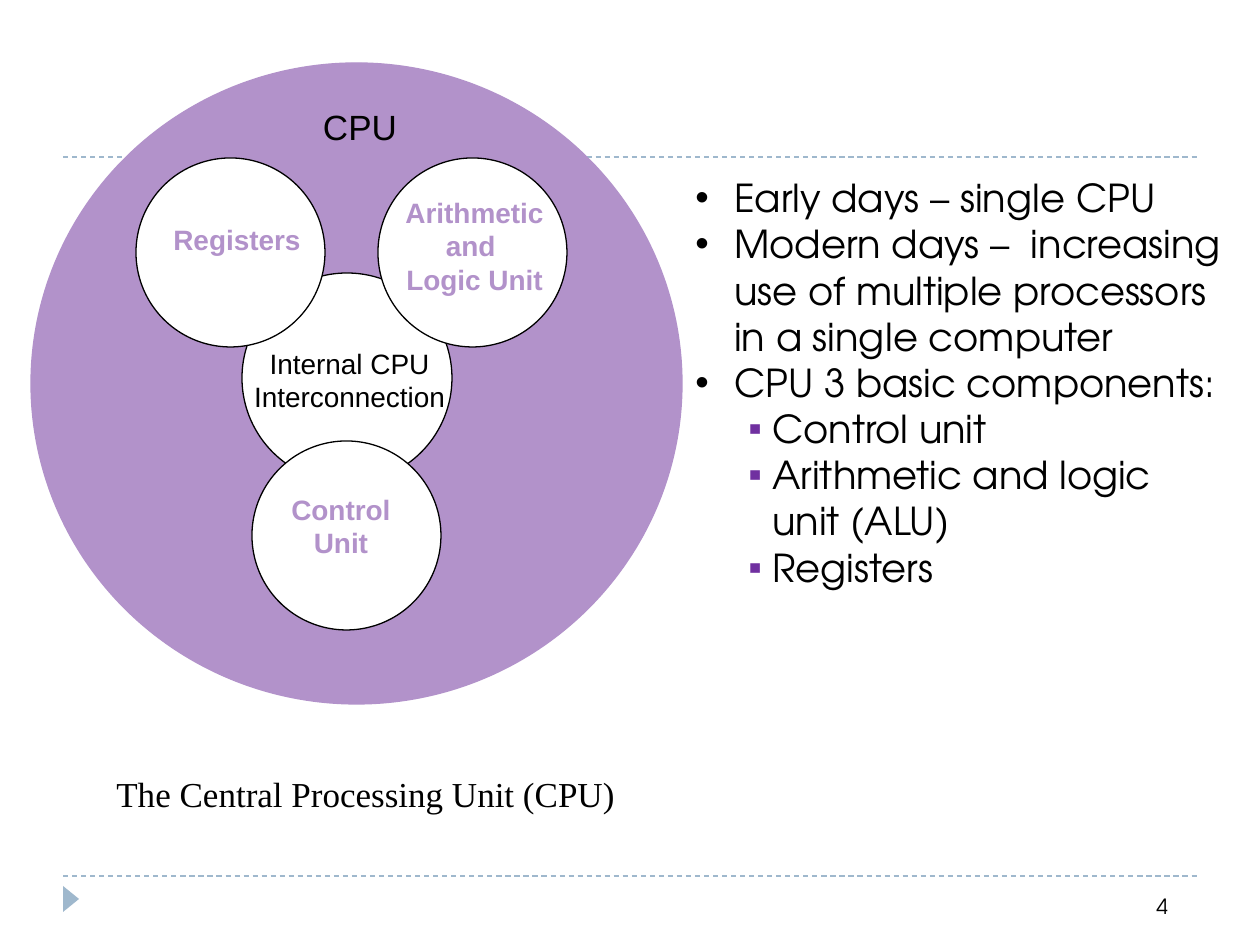
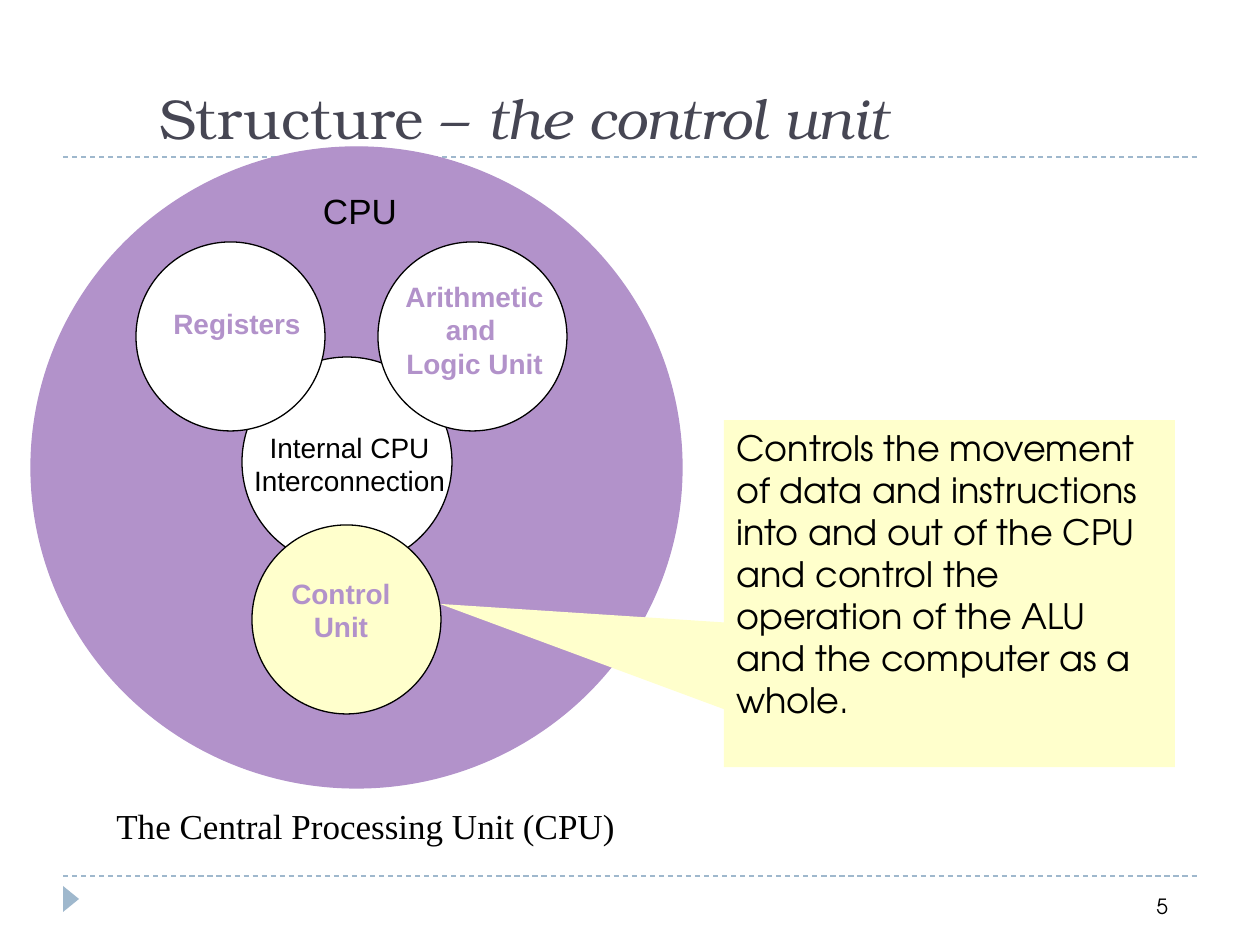
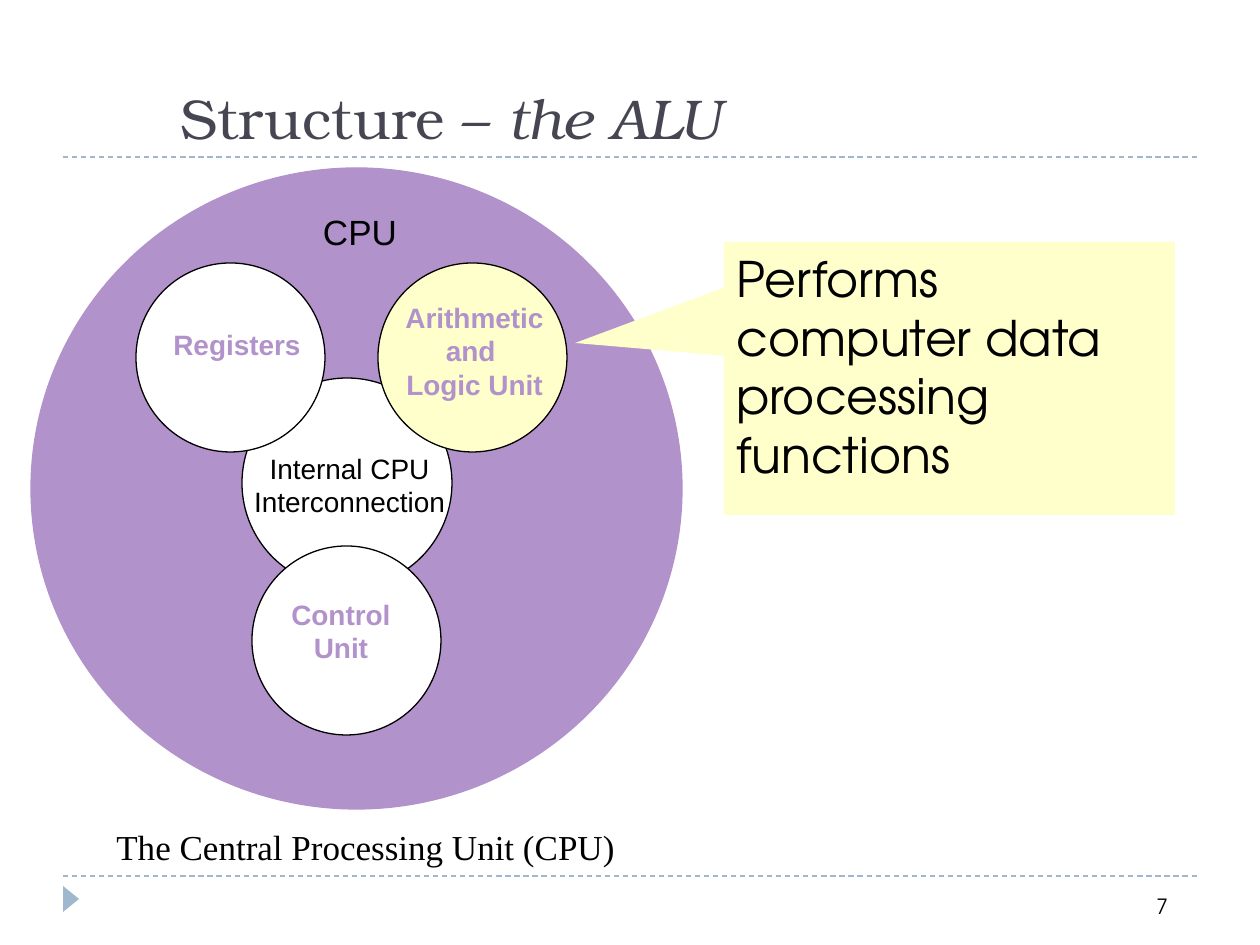
from lxml import etree
from pptx import Presentation
from pptx.dml.color import RGBColor
from pptx.enum.dml import MSO_LINE
from pptx.enum.shapes import MSO_CONNECTOR, MSO_SHAPE
from pptx.enum.text import MSO_ANCHOR, MSO_AUTO_SIZE, PP_ALIGN
from pptx.oxml.ns import qn
from pptx.util import Emu, Pt

PX_PER_INCH = 126
SLIDE_SIZE = (1260, 945)
TITLE_ONLY, BLANK = 5, 6

OVAL = MSO_SHAPE.OVAL
TRIANGLE = MSO_SHAPE.ISOSCELES_TRIANGLE
CALLOUT = MSO_SHAPE.RECTANGULAR_CALLOUT
STRAIGHT = MSO_CONNECTOR.STRAIGHT
DASH = MSO_LINE.DASH
LEFT, CENTER = PP_ALIGN.LEFT, PP_ALIGN.CENTER
TOP, MIDDLE, BOTTOM = MSO_ANCHOR.TOP, MSO_ANCHOR.MIDDLE, MSO_ANCHOR.BOTTOM
GROW, FIXED = MSO_AUTO_SIZE.SHAPE_TO_FIT_TEXT, MSO_AUTO_SIZE.NONE

BLACK, WHITE = "000000", "FFFFFF"
PURPLE, BULLET_PURPLE = "B292CA", "7030A0"
HIGHLIGHT, BAND, TITLE_INK = "FFFFCC", "9FB8CD", "464653"
SANS, BODY = "Arial", "TeX Gyre Adventor"
TITLE_FONT, CAPTION_FONT = "TeX Gyre Bonum", "Times New Roman"

# Bullet levels: character, colour, left margin and hanging indent in px
BULLETS = [("•", BLACK, 39, 39), ("▪", BULLET_PURPLE, 77, 24)]

# CPU parts, back to front: left, top below the CPU circle's top, diameter
PARTS = {
    "interconnection": (242, 210, 210),
    "registers": (136, 95, 189),
    "alu": (378, 95, 189),
    "control": (252, 378, 189),
}
# Labels: lines, box below the CPU circle's top, format
PART_NAME = {"color": PURPLE, "bold": True}
LABELS = [
    (["Arithmetic", "and ", "Logic Unit"], (389, 126, 171, 113), PART_NAME),
    (["Control", "Unit"], (274, 423, 134, 81), PART_NAME),
    (["Internal CPU", "Interconnection"], (234, 277, 231, 81), {}),
    (["Registers"], (161, 153, 165, 47), {"align": LEFT, **PART_NAME}),
    (["CPU"], (306, 36, 108, 55), {"size": 20, "anchor": MIDDLE}),
]


def px(length):
    return Emu(round(length * 914400 / PX_PER_INCH))


def rgb(code):
    return RGBColor.from_string(code)


def format_run(run, font, size, color, bold=False, italic=False):
    run.font.name, run.font.size = font, Pt(size)
    run.font.bold, run.font.italic = bold, italic
    run.font.color.rgb = rgb(color)


def add_bullet(paragraph, level):
    char, color, margin, hanging = BULLETS[level]
    paragraph.level = level
    properties = paragraph._p.get_or_add_pPr()
    properties.set("marL", str(px(margin)))
    properties.set("indent", str(-px(hanging)))
    bullet_color = etree.SubElement(properties, qn("a:buClr"))
    etree.SubElement(bullet_color, qn("a:srgbClr"), val=color)
    etree.SubElement(properties, qn("a:buFont"), typeface=SANS)
    etree.SubElement(properties, qn("a:buChar"), char=char)


def write(frame, lines, font=BODY, size=20, color=BLACK, bold=False,
          align=LEFT, anchor=TOP, wrap=True, fit=FIXED, levels=None):
    """Fill a text frame, one paragraph a line; levels turns on bullets."""
    frame.word_wrap, frame.auto_size = wrap, fit
    frame.vertical_anchor = anchor
    for index, line in enumerate(lines):
        paragraph = frame.add_paragraph() if index else frame.paragraphs[0]
        if levels:
            add_bullet(paragraph, levels[index])
        paragraph.alignment = align
        run = paragraph.add_run()
        run.text = line
        format_run(run, font, size, color, bold)


class Deck:
    def __init__(self):
        self.presentation = Presentation()
        self.presentation.slide_width = px(SLIDE_SIZE[0])
        self.presentation.slide_height = px(SLIDE_SIZE[1])
        self.slide = None

    def start_slide(self, number, layout=TITLE_ONLY):
        layouts = self.presentation.slide_layouts
        self.slide = self.presentation.slides.add_slide(layouts[layout])
        for y in (876, 157):
            self.rule(y)
        self.shape(TRIANGLE, (58, 891, 26, 16), BAND).rotation = 90
        self.text([str(number)], (1144, 887, 103, 42), size=12)

    def rule(self, y):
        line = self.slide.shapes.add_connector(
            STRAIGHT, px(63), px(y), px(1197), px(y))
        line.line.color.rgb = rgb(BAND)
        line.line.width, line.line.dash_style = Pt(0.75), DASH
        etree.SubElement(line._element.spPr, qn("a:effectLst"))

    def shape(self, kind, box, fill, outline=None):
        shape = self.slide.shapes.add_shape(kind, *map(px, box))
        shape.shadow.inherit = False
        shape.fill.solid()
        shape.fill.fore_color.rgb = rgb(fill)
        if outline:
            shape.line.color.rgb = rgb(outline)
            shape.line.width = Pt(0.75)
        else:
            shape.line.fill.background()
        return shape

    def text(self, lines, box, **style):
        textbox = self.slide.shapes.add_textbox(*map(px, box))
        write(textbox.text_frame, lines, **style)

    def title(self, topic, left):
        title = self.slide.shapes.title
        title.left, title.top = px(left), px(32)
        title.width, title.height = px(1092), px(125)
        write(title.text_frame, ["Structure – "], font=TITLE_FONT, size=32,
              color=TITLE_INK, anchor=BOTTOM)
        topic_run = title.text_frame.paragraphs[0].add_run()
        topic_run.text = topic
        format_run(topic_run, TITLE_FONT, 32, TITLE_INK, italic=True)

    def callout(self, message, box, tip, size):
        """Tip is the pointer's offset from the centre, as box fractions."""
        callout = self.shape(CALLOUT, box, HIGHLIGHT)
        callout.adjustments[0], callout.adjustments[1] = tip
        write(callout.text_frame, [message], size=size)

    def cpu_diagram(self, top, caption_top, highlighted=None):
        self.text(["The Central Processing Unit (CPU)"],
                  (104, caption_top, 530, 55), font=CAPTION_FONT, wrap=False)
        self.shape(OVAL, (31, top, 651, 641), PURPLE, PURPLE)
        for part, (left, drop, diameter) in PARTS.items():
            fill = HIGHLIGHT if part == highlighted else WHITE
            self.shape(OVAL, (left, top + drop, diameter, diameter),
                       fill, BLACK)
        for lines, (left, drop, width, height), style in LABELS:
            label_style = {"font": SANS, "size": 16, "align": CENTER, **style}
            self.text(lines, (left, top + drop, width, height), **label_style)


def main():
    deck = Deck()

    deck.start_slide(4, BLANK)
    deck.cpu_diagram(63, 766)
    deck.text(
        ["Early days – single CPU",
         "Modern days –  increasing use of multiple processors "
         "in a single computer",
         "CPU 3 basic components:",
         "Control unit",
         "Arithmetic and logic unit (ALU)",
         "Registers"],
        (683, 168, 557, 428), size=22, fit=GROW, levels=[0, 0, 0, 1, 1, 1])

    deck.start_slide(5)
    deck.cpu_diagram(147, 798, "control")
    deck.callout("Controls the movement of data and instructions into and "
                 "out of the CPU and control the operation of the ALU and "
                 "the computer as a whole.",
                 (724, 420, 451, 347), (-1.13, 0.03), 20)
    deck.title("the control unit", 147)

    deck.start_slide(7)
    deck.cpu_diagram(168, 819, "alu")
    deck.callout("Performs computer data processing functions",
                 (724, 242, 451, 273), (-0.83, -0.13), 28)
    deck.title("the ALU", 168)

    deck.presentation.save("out.pptx")


if __name__ == "__main__":
    main()
